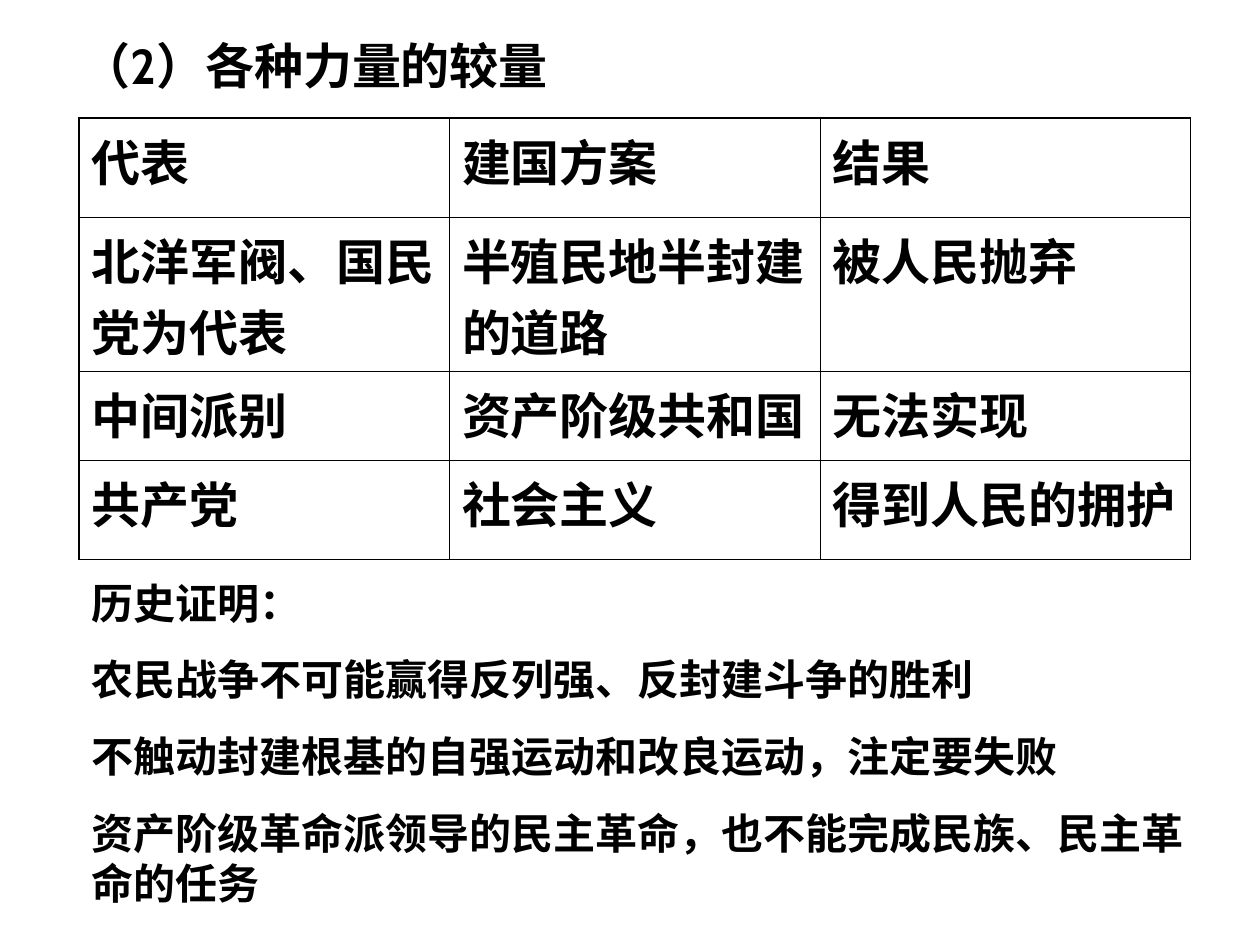
from lxml import etree
from pptx import Presentation
from pptx.dml.color import RGBColor
from pptx.enum.text import MSO_ANCHOR, MSO_AUTO_SIZE, PP_ALIGN
from pptx.oxml.ns import qn
from pptx.util import Cm, Pt

TOP = MSO_ANCHOR.TOP
LEFT = PP_ALIGN.LEFT
GROW = MSO_AUTO_SIZE.SHAPE_TO_FIT_TEXT
TITLE_ONLY = 5

BLACK = "000000"
OUTER_LINE, INNER_LINE = 1.08, 0.45
COLUMN_WIDTH = 7.47
ROW_HEIGHTS = [2.0, 3.1, 1.8, 2.0]

TITLE = "（2）各种力量的较量"
ROWS = [
    ["代表", "建国方案", "结果"],
    ["北洋军阀、国民党为代表", "半殖民地半封建的道路", "被人民抛弃"],
    ["中间派别", "资产阶级共和国", "无法实现"],
    ["共产党", "社会主义", "得到人民的拥护"],
]
CONCLUSIONS = [
    "历史证明：",
    "农民战争不可能赢得反列强、反封建斗争的胜利",
    "不触动封建根基的自强运动和改良运动，注定要失败",
    "资产阶级革命派领导的民主革命，也不能完成民族、民主革命的任务",
]


def color(hex_string):
    return RGBColor.from_string(hex_string)


def write_text(frame, lines, font="Cabin", size=24, fill=BLACK, gap=0):
    """Write one bold paragraph per line, with gap points between them."""
    frame.word_wrap = True
    for index, line in enumerate(lines):
        para = frame.paragraphs[0] if index == 0 else frame.add_paragraph()
        para.alignment = LEFT
        para.space_before = Pt(gap if index else 0)
        span = para.add_run()
        span.text = line
        span.font.name = font
        span.font.size = Pt(size)
        span.font.bold = True
        span.font.color.rgb = color(fill)


def set_borders(cell, widths):
    """Draw the cell's borders; widths are points for left, right, top, bottom."""
    properties = cell._tc.get_or_add_tcPr()
    for index, (side, width) in enumerate(zip("LRTB", widths)):
        line = etree.Element(qn(f"a:ln{side}"), w=str(int(Pt(width))))
        solid = etree.SubElement(line, qn("a:solidFill"))
        etree.SubElement(solid, qn("a:srgbClr"), val=BLACK)
        properties.insert(index, line)


def add_title(page, text):
    title = page.shapes.title
    title.left, title.top = Cm(1.39), Cm(0.58)
    title.width, title.height = Cm(22.63), Cm(1.45)
    frame = title.text_frame
    frame.vertical_anchor = TOP
    frame.auto_size = GROW
    write_text(frame, [text], size=28)


def add_comparison(page, rows):
    row_count, column_count = len(rows), len(rows[0])
    table = page.shapes.add_table(
        row_count, column_count, Cm(1.59), Cm(2.38),
        Cm(COLUMN_WIDTH * column_count), Cm(sum(ROW_HEIGHTS))).table
    table.first_row = table.horz_banding = False
    for column in table.columns:
        column.width = Cm(COLUMN_WIDTH)
    for r, texts in enumerate(rows):
        table.rows[r].height = Cm(ROW_HEIGHTS[r])
        for c, text in enumerate(texts):
            cell = table.cell(r, c)
            cell.fill.background()
            cell.vertical_anchor = TOP
            write_text(cell.text_frame, [text], font="Arial", size=28)
            at_edge = [c == 0, c == column_count - 1, r == 0, r == row_count - 1]
            set_borders(cell, [OUTER_LINE if edge else INNER_LINE for edge in at_edge])


def add_conclusions(page, lines):
    box = page.shapes.add_textbox(Cm(1.6), Cm(11.51), Cm(22.6), Cm(6.93))
    box.text_frame.auto_size = GROW
    write_text(box.text_frame, lines, gap=15)


def main():
    deck = Presentation()
    deck.slide_width, deck.slide_height = Cm(25.4), Cm(19.05)
    page = deck.slides.add_slide(deck.slide_layouts[TITLE_ONLY])
    add_title(page, TITLE)
    add_comparison(page, ROWS)
    add_conclusions(page, CONCLUSIONS)
    deck.save("out.pptx")


if __name__ == "__main__":
    main()
